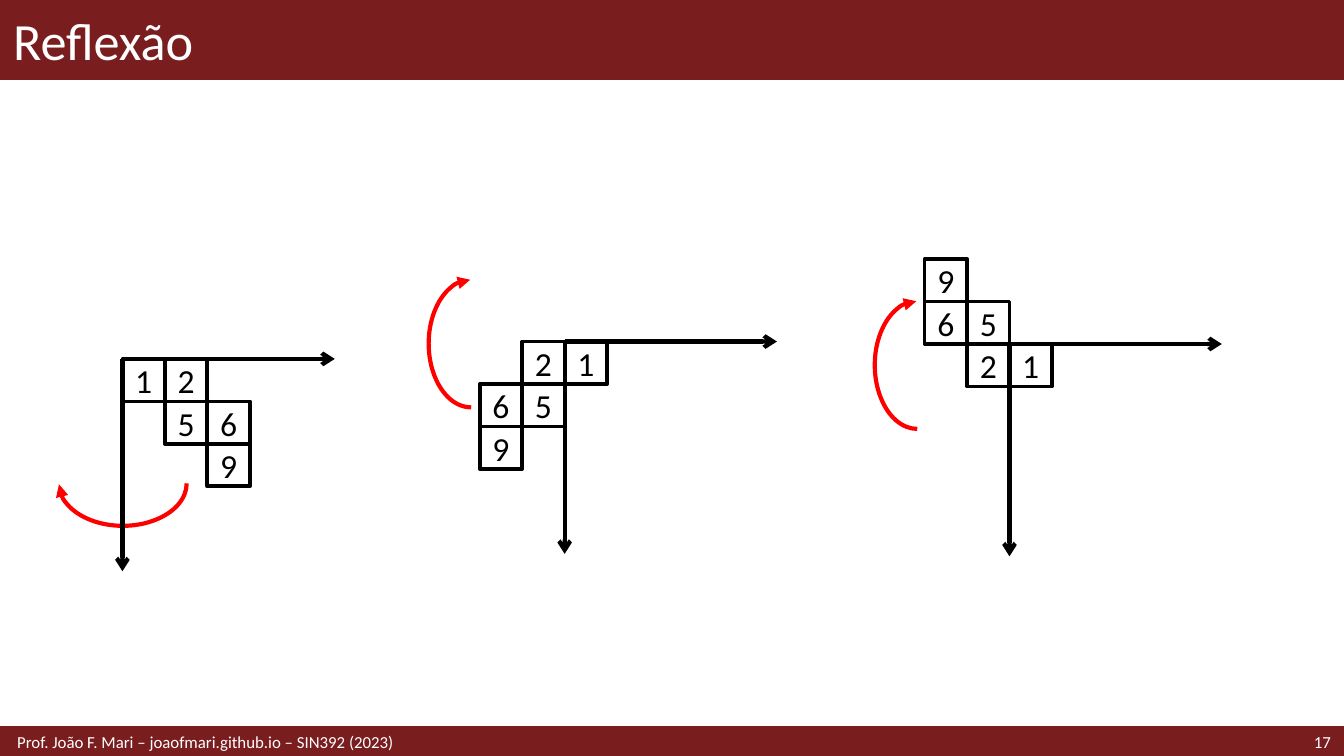
from lxml import etree
from pptx import Presentation
from pptx.dml.color import RGBColor
from pptx.enum.shapes import MSO_CONNECTOR, MSO_SHAPE as Shape
from pptx.enum.text import MSO_ANCHOR, PP_ALIGN as Align
from pptx.oxml.ns import qn
from pptx.util import Pt

WINE, RED, BLACK, WHITE = "791D1F", "FF0000", "000000", "FFFFFF"
CELL = 22.75
AXIS = 5 * CELL


def color(value):
    return RGBColor.from_string(value)


def write(shape, text, size, ink, align, margin):
    """Put one vertically centred line in the shape, with the given side margins."""
    frame = shape.text_frame
    frame.word_wrap = True
    frame.vertical_anchor = MSO_ANCHOR.MIDDLE
    frame.margin_left = frame.margin_right = Pt(margin)
    frame.margin_top = frame.margin_bottom = 0
    para = frame.paragraphs[0]
    para.text = text
    para.alignment = align
    para.font.name = "Calibri"
    para.font.size = Pt(size)
    para.font.color.rgb = color(ink)


deck = Presentation()
deck.slide_width, deck.slide_height = Pt(720), Pt(405)
page = deck.slides.add_slide(deck.slide_layouts[6])
shapes = page.shapes

# Header and footer bands
for top, height, width in [(0, 42.5, 1), (390, 15, 2)]:
    band = shapes.add_shape(Shape.RECTANGLE, 0, Pt(top), Pt(720), Pt(height))
    band.shadow.inherit = False
    band.fill.solid()
    band.fill.fore_color.rgb = color(WINE)
    band.line.color.rgb = color(WINE)
    band.line.width = Pt(width)

captions = [
    ("Reflexão", 0, 0, 720, 42.5, 28, Align.LEFT, 7.2),
    ("17", 638, 390, 82, 15, 9, Align.RIGHT, 7.2),
    ("Prof. João F. Mari – joaofmari.github.io – SIN392 (2023)",
     0, 390, 496, 15, 9, Align.LEFT, 9.2),
]
for text, left, top, width, height, size, align, margin in captions:
    box = shapes.add_textbox(Pt(left), Pt(top), Pt(width), Pt(height))
    write(box, text, size, WHITE, align, margin)

# Each number with its column and row, counted away from the origin
cells = [("1", 0, 0), ("2", 1, 0), ("5", 1, 1), ("6", 2, 1), ("9", 2, 2)]

# Origin, direction of the columns and rows, arc position and rotation
stages = [
    (65.6, 192.3, 1, 1, 31.6, 236.2, 0),
    (302.5, 183, -1, 1, 218.2, 161.3, 90),
    (540.8, 184.3, -1, -1, 457.2, 172.8, 90),
]
for x, y, x_sign, y_sign, arc_left, arc_top, rotation in stages:
    arc = shapes.add_shape(Shape.ARC, Pt(arc_left), Pt(arc_top), Pt(68.4), Pt(45.5))
    arc.shadow.inherit = False
    arc.adjustments[0], arc.adjustments[1] = 108.504, 0
    arc.rotation = rotation
    arc.element.spPr.xfrm.set("flipV", "1")
    arc.fill.background()
    arc.line.color.rgb = color(RED)
    arc.line.width = Pt(2.25)
    etree.SubElement(arc.line._get_or_add_ln(), qn("a:headEnd"), type="triangle")

    for end_x, end_y in [(x, y + AXIS), (x + AXIS, y)]:
        axis = shapes.add_connector(
            MSO_CONNECTOR.STRAIGHT, Pt(x), Pt(y), Pt(end_x), Pt(end_y))
        axis.line.color.rgb = color(BLACK)
        axis.line.width = Pt(2.25)
        etree.SubElement(axis.line._get_or_add_ln(), qn("a:tailEnd"), type="arrow")
        etree.SubElement(axis.element.spPr, qn("a:effectLst"))

    for number, column, row in cells:
        cell = shapes.add_shape(
            Shape.RECTANGLE, Pt(x + x_sign * column * CELL),
            Pt(y + y_sign * row * CELL), Pt(CELL), Pt(CELL))
        cell.shadow.inherit = False
        cell.fill.background()
        cell.line.color.rgb = color(BLACK)
        cell.line.width = Pt(2)
        write(cell, number, 18, BLACK, Align.CENTER, 0)

deck.save("out.pptx")
